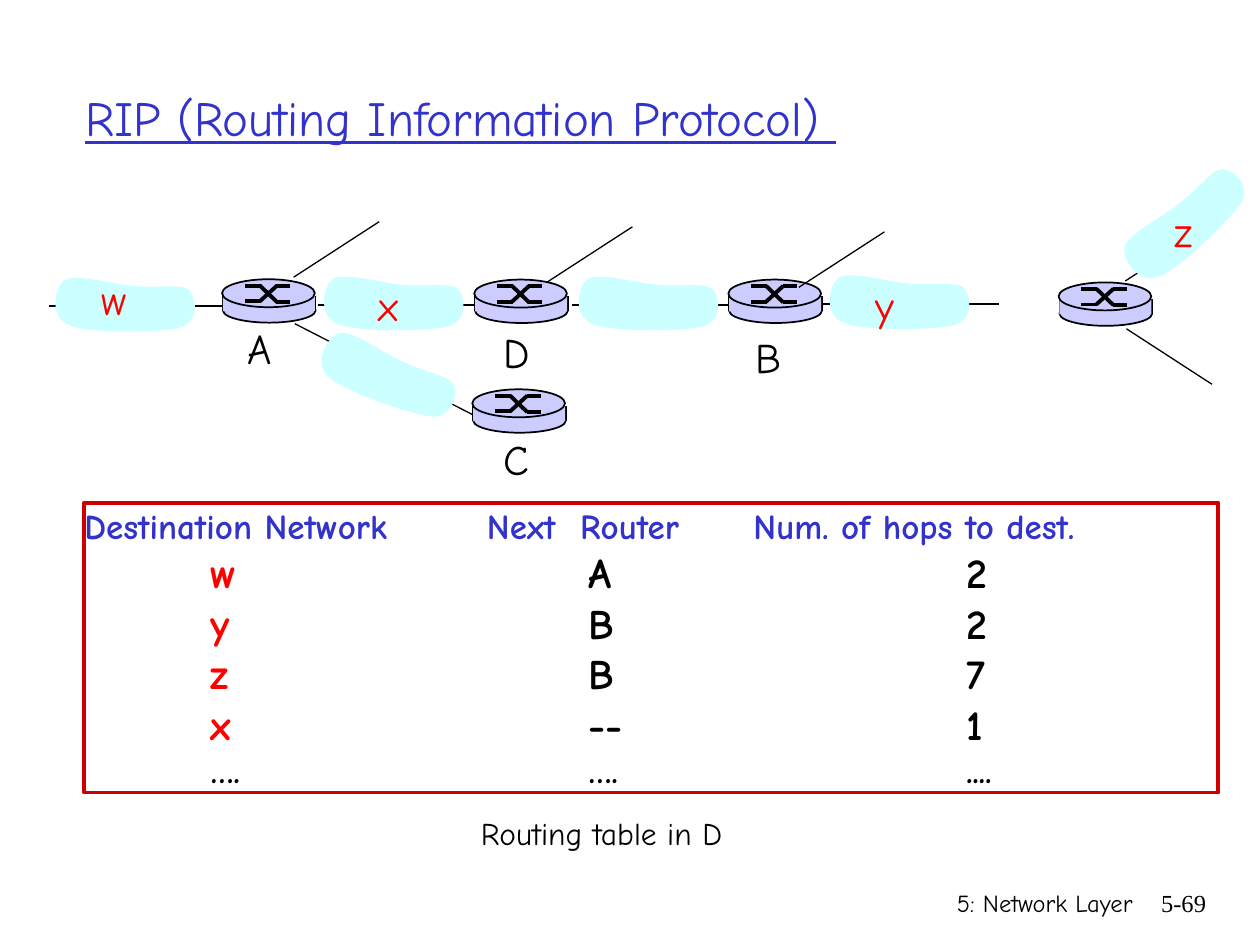
from lxml.etree import SubElement
from pptx import Presentation
from pptx.dml.color import RGBColor
from pptx.enum.shapes import MSO_CONNECTOR, MSO_SHAPE as SHAPE
from pptx.enum.text import MSO_ANCHOR as ANCHOR, PP_ALIGN as ALIGN
from pptx.oxml.ns import qn
from pptx.util import Pt

FONT = "Comic Neue"
BLACK, RED, BLUE = "000000", "FF0000", "3333CC"
LILAC, CYAN, FRAME_RED = "CCCCFF", "CCFFFF", "CC0000"

TITLE = "RIP (Routing Information Protocol) "
# left, top
ROUTERS = [(126.9, 159.6), (271, 159.8), (416.2, 159.8), (604.9, 161.4), (269.9, 222.5)]
# left, top, rotation
NETWORKS = [(28, 156.2, 0), (181.5, 155.5, 0), (327, 155.5, 0), (470.5, 154.8, 0),
            (178.6, 197.2, 19.7), (633.6, 110.2, 316.8)]
# x1, y1, x2, y2
LINKS = [(28, 175, 128.5, 175), (181.5, 174.2, 282, 174.2),
         (327, 174.2, 427.5, 174.2), (470.5, 173.6, 571, 173.6)]
BRANCHES = [(167.8, 158.4, 216.7, 126.7), (312.5, 161.3, 361.4, 129.6),
            (456.5, 164.2, 505.4, 132.5), (643, 160.6, 691.9, 128.9),
            (643.7, 187.9, 692.6, 219.6), (168.5, 185, 270, 236.9)]
# text, left, top, width, colour
LABELS = [("w", 51.1, 152.6, 31, RED), ("x", 209.5, 156.2, 28.8, RED),
          ("y", 493.2, 156.2, 27.4, RED), ("z", 663.8, 113.8, 27.4, RED),
          ("A", 134.6, 180.7, 31.7, BLACK), ("D", 280.8, 182.9, 31.7, BLACK),
          ("B", 424.8, 185.8, 29.5, BLACK), ("C", 280.8, 244.1, 28.8, BLACK)]
FRAME = (48.2, 287.3, 648, 165.6)
HEADER_TABS = [230.1, 283.4, 382.4]
ROUTE_TABS = [72, 288, 504]
# tab stops, size, coloured runs
ROUTING_ROWS = [
    (HEADER_TABS, 20, [("Destination Network\tNext\tRouter\tNum. of hops to dest.", BLUE)]),
    (ROUTE_TABS, 24, [("\tw", RED), ("\tA\t2", BLACK)]),
    (ROUTE_TABS, 24, [("\ty", RED), ("\tB\t2", BLACK)]),
    (ROUTE_TABS, 24, [("\tz", RED), ("\tB\t7", BLACK)]),
    (ROUTE_TABS, 24, [("\tx", RED), ("\t--\t1", BLACK)]),
    (ROUTE_TABS, 20, [("\t….\t….\t....", BLACK)]),
]

# Outline of a network cloud: start, then Bézier curves of two controls and an end
CLOUD_START = (49, 7.2)
CLOUD_CURVES = [((37.4, 6.5), (15.8, 0), (9.4, 3.6)),
                ((2.9, 7.2), (0, 25.2), (11.5, 29.5)),
                ((22.3, 34.6), (63.4, 33.8), (74.9, 31)),
                ((86.4, 27.4), (84.2, 13), (79.9, 9.4)),
                ((75.6, 5.8), (60.5, 8.6), CLOUD_START)]

# Parts of a router, relative to its top left corner
ROUTER_SIDES = [(0.5, 9.6, 0.5, 18), (53.4, 9.6, 53.4, 18)]
ROUTER_ARROWS = [(13, 3.6, 22, 3.6), (21.6, 3.6, 31.4, 13), (31, 13, 39, 13),
                 (13, 12.6, 22, 12.6), (21.6, 12.6, 31.4, 3.6), (31, 3.6, 39, 3.6)]


def color(hex_string):
    return RGBColor.from_string(hex_string)


def pts(*values):
    return [Pt(v) for v in values]


def style(shape, fill=None, line=None, width=1):
    shape.shadow.inherit = False
    if fill:
        shape.fill.solid()
        shape.fill.fore_color.rgb = color(fill)
    else:
        shape.fill.background()
    if line:
        shape.line.color.rgb = color(line)
        shape.line.width = Pt(width)
    else:
        shape.line.fill.background()


def format_run(r, size, hex_string, font=FONT, bold=False):
    r.font.size, r.font.name, r.font.bold = Pt(size), font, bold
    r.font.color.rgb = color(hex_string)


def add_line(shapes, ends, width):
    line = shapes.add_connector(MSO_CONNECTOR.STRAIGHT, *pts(*ends))
    line.line.color.rgb = color(BLACK)
    line.line.width = Pt(width)
    SubElement(line._element.spPr, qn("a:effectLst"))


def add_router(s, left, top):
    shapes = s.shapes.add_group_shape().shapes

    def add_part(kind, x, y, w, h, line=None):
        part = shapes.add_shape(kind, *pts(left + x, top + y, w, h))
        style(part, LILAC, line)

    def add_strokes(strokes, width):
        for x1, y1, x2, y2 in strokes:
            add_line(shapes, (left + x1, top + y1, left + x2, top + y2), width)

    add_part(SHAPE.OVAL, 0.5, 10.8, 53, 14, BLACK)
    add_strokes(ROUTER_SIDES, 1)
    add_part(SHAPE.RECTANGLE, 0.5, 9.6, 52.6, 8.6)
    add_part(SHAPE.OVAL, 0, 0, 53, 16, BLACK)
    add_strokes(ROUTER_ARROWS, 2.25)


def add_network(s, left, top, rotation):
    """Build a cloud through its control points, then turn each three segments into a curve."""
    def place(point):
        return pts(left + point[0], top + point[1])

    builder = s.shapes.build_freeform(*place(CLOUD_START))
    builder.add_line_segments([place(q) for curve in CLOUD_CURVES for q in curve], close=True)
    cloud = builder.convert_to_shape()
    segments = list(cloud._element.iter(qn("a:lnTo")))
    for i in range(0, len(segments), 3):
        first, *others = segments[i:i + 3]
        first.tag = qn("a:cubicBezTo")
        for segment in others:
            first.append(segment[0])
            segment.getparent().remove(segment)
    style(cloud, CYAN)
    cloud.rotation = rotation


def add_text(s, text, box, size, hex_string=BLACK, font=FONT, align=None, wrap=False):
    tf = s.shapes.add_textbox(*pts(*box)).text_frame
    tf.word_wrap = wrap
    tf.text = text
    p = tf.paragraphs[0]
    p.alignment = align
    format_run(p.runs[0], size, hex_string, font)


def set_tabs(p, stops):
    tabs = SubElement(p._p.get_or_add_pPr(), qn("a:tabLst"))
    for stop in stops:
        SubElement(tabs, qn("a:tab"), pos=str(Pt(stop)), algn="l")


def add_routing_table(s):
    frame = s.shapes.add_shape(SHAPE.RECTANGLE, *pts(*FRAME))
    style(frame, line=FRAME_RED, width=2.25)
    tf = frame.text_frame
    tf.margin_left = tf.margin_right = tf.margin_top = tf.margin_bottom = 0
    tf.vertical_anchor = ANCHOR.MIDDLE
    for i, (stops, size, runs) in enumerate(ROUTING_ROWS):
        p = tf.add_paragraph() if i else tf.paragraphs[0]
        p.alignment = ALIGN.LEFT
        set_tabs(p, stops)
        for text, hex_string in runs:
            r = p.add_run()
            r.text = text
            format_run(r, size, hex_string, bold=True)


def main():
    prs = Presentation()
    prs.slide_width, prs.slide_height = pts(720, 540)
    s = prs.slides.add_slide(prs.slide_layouts[5])

    title = s.shapes.title
    title.left, title.top, title.width, title.height = pts(41.4, 21.6, 612, 90)
    title.text_frame.text = TITLE
    title.text_frame.vertical_anchor = ANCHOR.MIDDLE
    p = title.text_frame.paragraphs[0]
    p.alignment = ALIGN.LEFT
    format_run(p.runs[0], 28, BLUE)
    p.runs[0].font.underline = True

    add_routing_table(s)
    for ends in LINKS:
        add_line(s.shapes, ends, 1)
    for router in ROUTERS:
        add_router(s, *router)
    for ends in BRANCHES:
        add_line(s.shapes, ends, 0.75)
    for network in NETWORKS:
        add_network(s, *network)
    for text, left, top, width, hex_string in LABELS:
        add_text(s, text, (left, top, width, 36), 24, hex_string)

    add_text(s, "Routing table in D", (267.8, 461.5, 163.4, 28.8), 18)
    add_text(s, "5: Network Layer", (426.2, 504, 228.2, 36), 14, align=ALIGN.RIGHT, wrap=True)
    add_text(s, "5-69", (643, 504, 53.3, 36), 14, font="Times New Roman",
             align=ALIGN.RIGHT, wrap=True)
    prs.save("out.pptx")


if __name__ == "__main__":
    main()
